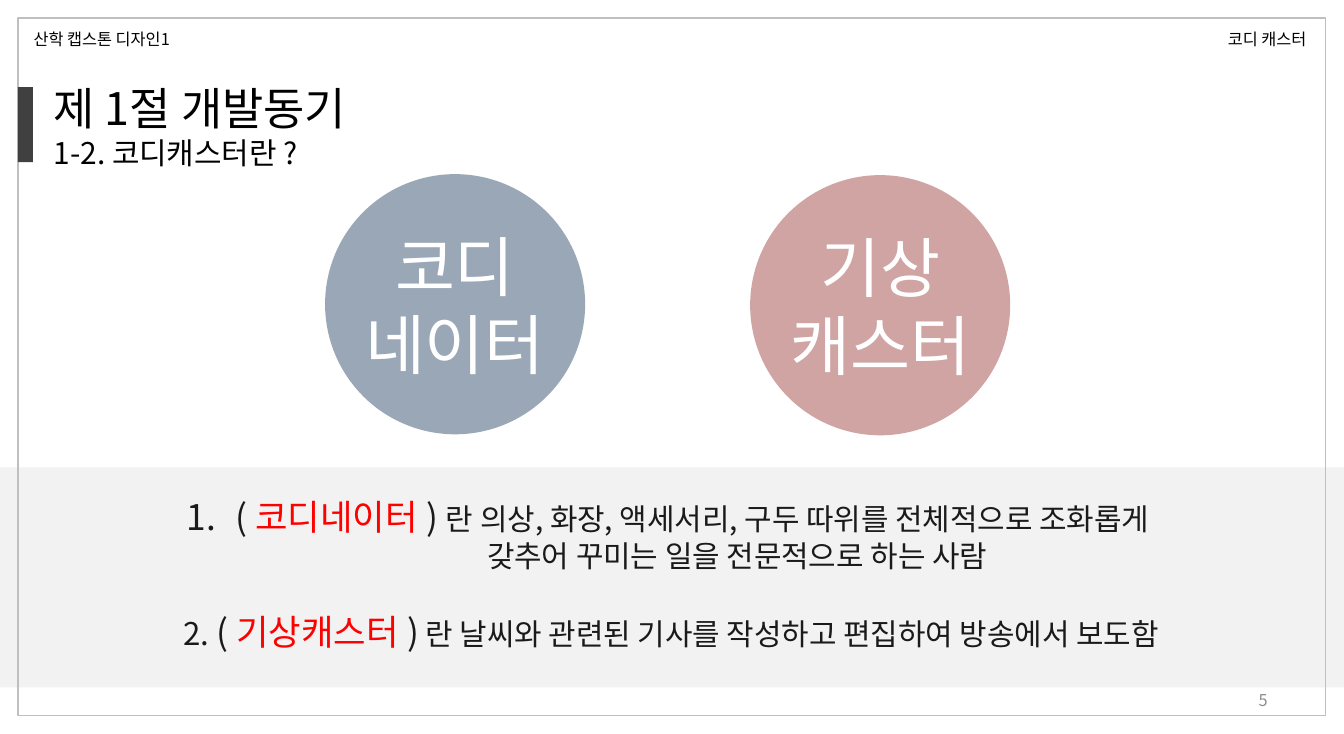
from dataclasses import dataclass

from lxml.etree import SubElement
from pptx import Presentation
from pptx.dml.color import RGBColor
from pptx.enum.shapes import MSO_SHAPE
from pptx.enum.text import MSO_ANCHOR, PP_ALIGN
from pptx.oxml.ns import qn
from pptx.util import Inches, Pt

PX = 9350  # EMU per pixel


@dataclass(frozen=True)
class Theme:
    font: str = "Noto Sans CJK KR"
    black: str = "000000"
    white: str = "FFFFFF"
    ink: str = "1A1A1A"
    keyword: str = "FF0000"
    page: str = "8C8C8C"
    band: str = "F2F2F2"
    frame: str = "BFBFBF"
    marker: str = "404040"
    navy: str = "254061"
    brick: str = "953735"
    small: int = 12
    body: int = 22
    number: int = 23
    term: int = 26
    title: int = 33
    circle: int = 48


class SlideBuilder:
    def __init__(self, slide, theme):
        self.slide = slide
        self.theme = theme

    def shape(self, box, fill=None, line=None, opacity=100, kind=MSO_SHAPE.RECTANGLE):
        shape = self.slide.shapes.add_shape(kind, *(v * PX for v in box))
        shape.shadow.inherit = False
        if fill:
            shape.fill.solid()
            shape.fill.fore_color.rgb = RGBColor.from_string(fill)
            if opacity < 100:
                color = shape.fill._xPr.find(".//" + qn("a:srgbClr"))
                SubElement(color, qn("a:alpha"), val=str(opacity * 1000))
        else:
            shape.fill.background()
        if line:
            shape.line.color.rgb = RGBColor.from_string(line)
            shape.line.width = Pt(1)
        else:
            shape.line.fill.background()
        return shape

    def text(self, box, anchor=MSO_ANCHOR.TOP):
        frame = self.slide.shapes.add_textbox(*(v * PX for v in box)).text_frame
        frame.word_wrap = True
        frame.vertical_anchor = anchor
        return frame

    def paragraph(self, frame, runs, align=PP_ALIGN.LEFT, before=0, left=0, numbered=False):
        """Add one paragraph; each run is (text, size, colour)."""
        first = not frame.paragraphs[0].runs
        paragraph = frame.paragraphs[0] if first else frame.add_paragraph()
        paragraph.alignment = align
        if before:
            paragraph.space_before = Pt(before)
        properties = paragraph._p.get_or_add_pPr()
        if left:
            properties.set("marL", str(left * PX))
        if numbered:
            properties.set("indent", str(-left * PX))
            SubElement(properties, qn("a:buAutoNum"), type="arabicPeriod")
        for words, size, color in runs:
            run = paragraph.add_run()
            run.text = words
            run.font.size = Pt(size)
            run.font.color.rgb = RGBColor.from_string(color)
            run.font.name = self.theme.font
            SubElement(run._r.get_or_add_rPr(), qn("a:ea"), typeface=self.theme.font)

    def circle(self, box, fill, opacity, lines):
        circle = self.shape(box, fill, opacity=opacity, kind=MSO_SHAPE.OVAL)
        frame = circle.text_frame
        frame.word_wrap = False
        frame.vertical_anchor = MSO_ANCHOR.MIDDLE
        frame.margin_left = frame.margin_right = frame.margin_top = frame.margin_bottom = 0
        for line in lines:
            self.paragraph(frame, [(line, self.theme.circle, self.theme.white)], PP_ALIGN.CENTER)


def main():
    theme = Theme()
    deck = Presentation()
    deck.slide_width, deck.slide_height = Inches(13.74), Inches(7.5)
    page = SlideBuilder(deck.slides.add_slide(deck.slide_layouts[6]), theme)

    # Background band and frame
    page.shape((0, 467, 1344, 220), theme.band)
    page.shape((18, 18, 1307, 697), line=theme.frame)

    # Definitions
    definitions = page.text((61, 490, 1220, 167))
    page.paragraph(definitions, [
        ("( ", theme.term, theme.ink),
        ("코디네이터 ", theme.term, theme.keyword),
        (") ", theme.term, theme.ink),
        ("란 의상, 화장, 액세서리, 구두 따위를 전체적으로 조화롭게 ", theme.body, theme.ink),
    ], PP_ALIGN.CENTER, left=49, numbered=True)
    page.paragraph(definitions, [
        ("갖추어 꾸미는 일을 전문적으로 하는 사람", theme.body, theme.ink),
    ], PP_ALIGN.CENTER, left=132)
    page.paragraph(definitions, [
        ("2. ", theme.number, theme.ink),
        ("( ", theme.term, theme.ink),
        ("기상캐스터 ", theme.term, theme.keyword),
        (")", theme.term, theme.ink),
        (" 란 날씨와 관련된 기사를 작성하고 편집하여 방송에서 보도함", theme.body, theme.ink),
    ], PP_ALIGN.CENTER, before=27)

    # Two source words
    page.circle((325, 174, 260, 260), theme.navy, 46, ("코디", "네이터"))
    page.circle((750, 175, 260, 260), theme.brick, 45, ("기상", "캐스터"))

    # Section heading
    page.shape((18, 87, 15, 75), theme.marker)
    heading = page.text((44, 76, 742, 99))
    page.paragraph(heading, [("제 1절 개발동기", theme.title, theme.black)])
    page.paragraph(heading, [("1-2. 코디캐스터란 ?", theme.body, theme.black)])

    # Header and page number
    for box, label in (((24, 24, 215, 30), "산학 캡스톤 디자인1"),
                       ((1218, 24, 120, 30), "코디 캐스터")):
        page.paragraph(page.text(box), [(label, theme.small, theme.black)])
    page.paragraph(page.text((963, 680, 314, 39), MSO_ANCHOR.MIDDLE),
                   [("5", theme.small, theme.page)], PP_ALIGN.RIGHT)

    deck.save("out.pptx")


if __name__ == "__main__":
    main()
